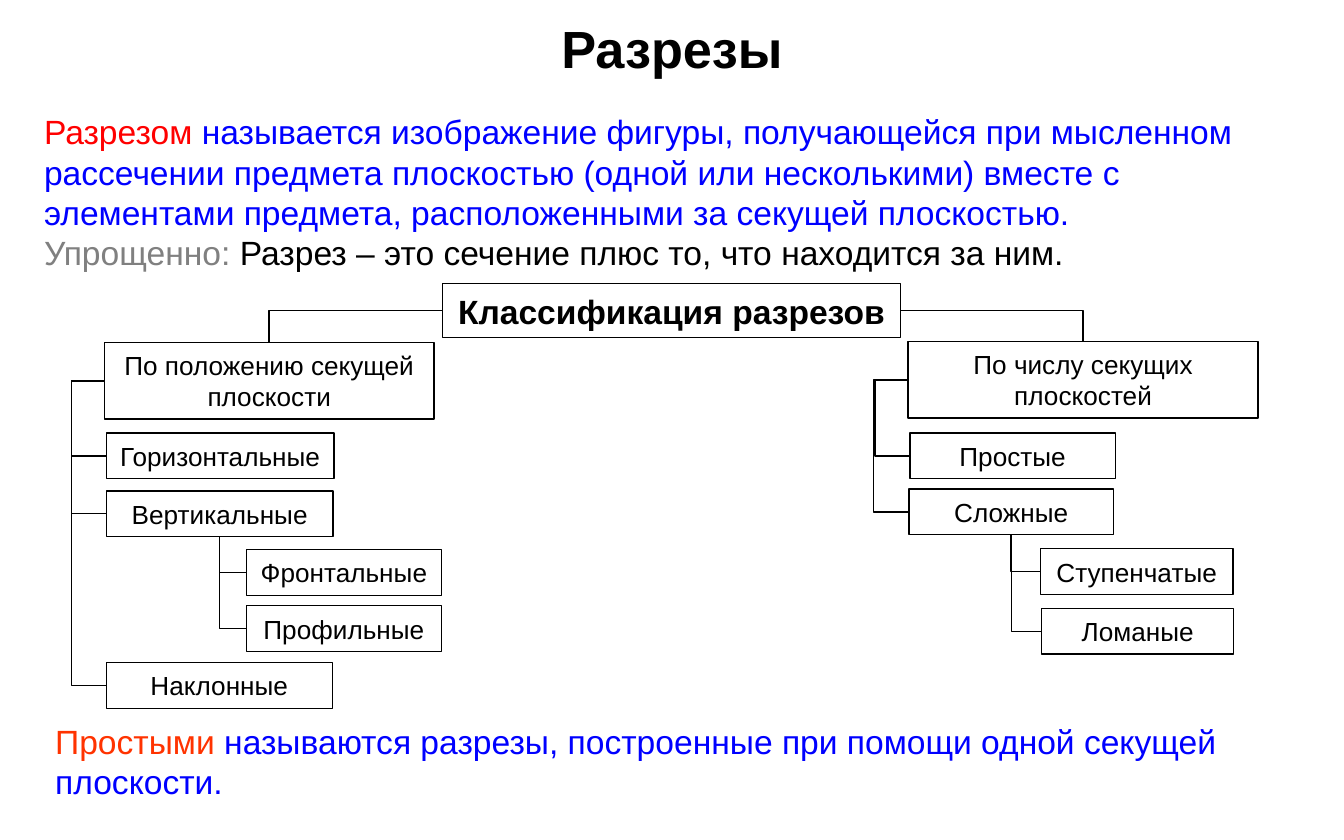
from pptx import Presentation
from pptx.dml.color import RGBColor
from pptx.enum.shapes import MSO_CONNECTOR, MSO_SHAPE
from pptx.enum.text import MSO_ANCHOR, PP_ALIGN
from pptx.oxml.ns import qn
from pptx.util import Pt
from lxml import etree

ELBOW = MSO_CONNECTOR.ELBOW
RECTANGLE = MSO_SHAPE.RECTANGLE
MIDDLE = MSO_ANCHOR.MIDDLE
CENTER = PP_ALIGN.CENTER

FONT = "Arial"
COLORS = {"black": "000000", "blue": "0000FF", "red": "FF0000",
          "orange": "FF3300", "gray": "808080"}
LINE_WIDTH = 0.75
ITEM_HEIGHT = 24.5
SPINE_GAP = 18

DEFINITION = [
    [("Разрезом", "red"),
     (" называется изображение фигуры, получающейся при мысленном рассечении "
      "предмета плоскостью (одной или несколькими) вместе с элементами предмета, "
      "расположенными за секущей плоскостью.", "blue")],
    [("Упрощенно: ", "gray"),
     ("Разрез – это сечение плюс то, что находится за ним.", "black")],
]
SIMPLE_SECTIONS = [
    [("Простыми", "orange"),
     (" называются разрезы, построенные при помощи одной секущей плоскости.", "blue")],
]

# Items: text, offset from the group's left and top, width, subitems.
BY_POSITION = [
    ("Горизонтальные", 1, 48.5, 122, []),
    ("Вертикальные", 1, 79.5, 121.5, [
        ("Фронтальные", 76, 111, 104.5),
        ("Профильные", 76, 141, 104.5),
    ]),
    ("Наклонные", 1, 171.5, 121, []),
]
BY_NUMBER = [
    ("Простые", 1, 49, 110, []),
    ("Сложные", 0.5, 79, 109.5, [
        ("Ступенчатые", 71, 111, 103),
        ("Ломаные", 71.5, 143, 103),
    ]),
]


def color(name):
    return RGBColor.from_string(COLORS[name])


def format_font(font, size, bold=False):
    font.name, font.size, font.bold = FONT, Pt(size), bold


def add_title(slide, text, left, top, width, height):
    title = slide.shapes.title
    title.left, title.top, title.width, title.height = map(Pt, (left, top, width, height))
    title.text_frame.vertical_anchor = MIDDLE
    paragraph = title.text_frame.paragraphs[0]
    paragraph.text, paragraph.alignment = text, CENTER
    format_font(paragraph.font, 28, True)
    paragraph.font.color.rgb = color("black")


def add_colored_text(slide, paragraphs, left, top, width, height):
    frame = slide.shapes.add_textbox(*map(Pt, (left, top, width, height))).text_frame
    frame.word_wrap = True
    for index, parts in enumerate(paragraphs):
        paragraph = frame.add_paragraph() if index else frame.paragraphs[0]
        format_font(paragraph.font, 18)
        for text, color_name in parts:
            run = paragraph.add_run()
            run.text = text
            run.font.color.rgb = color(color_name)


def add_box(slide, text, left, top, width, height, size=14, bold=False, wrap=False):
    shape = slide.shapes.add_shape(RECTANGLE, *map(Pt, (left, top, width, height)))
    shape.shadow.inherit = False
    shape.fill.background()
    shape.line.color.rgb = color("black")
    shape.line.width = Pt(LINE_WIDTH)
    frame = shape.text_frame
    frame.word_wrap, frame.vertical_anchor = wrap, MIDDLE
    paragraph = frame.paragraphs[0]
    paragraph.text, paragraph.alignment = text, CENTER
    format_font(paragraph.font, size, bold)
    paragraph.font.color.rgb = color("black")


def add_elbow(slide, start, end, spine=None):
    """Run across then down or up; with a spine, turn at that x and come back."""
    connector = slide.shapes.add_connector(ELBOW, *map(Pt, start + end))
    connector.line.color.rgb = color("black")
    connector.line.width = Pt(LINE_WIDTH)
    properties = connector._element.spPr
    etree.SubElement(properties, qn("a:effectLst"))
    geometry = properties.find(qn("a:prstGeom"))
    if spine is None:
        geometry.set("prst", "bentConnector2")
        return
    adjustments = geometry.find(qn("a:avLst"))
    if adjustments is None:
        adjustments = etree.SubElement(geometry, qn("a:avLst"))
    turn = round((spine - start[0]) / (end[0] - start[0]) * 100000)
    etree.SubElement(adjustments, qn("a:gd"), name="adj1", fmla=f"val {turn}")


def add_group(slide, heading, items, left, top, width, height):
    """Draw a heading box with its items below, each joined to its parent."""
    add_box(slide, heading, left, top, width, height, wrap=True)
    half = ITEM_HEIGHT / 2
    for text, item_x, item_y, item_width, subitems in items:
        x, y = left + item_x, top + item_y
        add_elbow(slide, (left, top + height / 2), (x, y + half), left - SPINE_GAP)
        add_box(slide, text, x, y, item_width, ITEM_HEIGHT)
        for subtext, sub_x, sub_y, sub_width in subitems:
            child_x, child_y = left + sub_x, top + sub_y
            add_elbow(slide, (child_x, child_y + half),
                      (x + item_width / 2, y + ITEM_HEIGHT))
            add_box(slide, subtext, child_x, child_y, sub_width, ITEM_HEIGHT)


def add_classification(slide, left, top, width, height):
    """Draw the root box and the two groups that hang from its sides."""
    root_left, root_width, root_height = left + 199, 245.5, 29
    middle = top + root_height / 2
    groups = [
        ("По положению секущей плоскости", BY_POSITION, left + 18, top + 31.5,
         176.5, root_left),
        ("По числу секущих плоскостей", BY_NUMBER, left + width - 187.5, top + 31,
         187.5, root_left + root_width),
    ]
    for heading, items, group_left, group_top, group_width, root_side in groups:
        add_elbow(slide, (root_side, middle), (group_left + group_width / 2, group_top))
        add_group(slide, heading, items, group_left, group_top, group_width, height)
    add_box(slide, "Классификация разрезов", root_left, top, root_width, root_height,
            size=18, bold=True)


def main():
    presentation = Presentation()
    presentation.slide_width, presentation.slide_height = Pt(720), Pt(450)
    slide = presentation.slides.add_slide(presentation.slide_layouts[5])
    add_title(slide, "Разрезы", 0, 0, 720, 50.5)
    add_colored_text(slide, DEFINITION, 16.5, 56, 680.5, 94.5)
    add_classification(slide, 38, 152, 636, 41)
    add_colored_text(slide, SIMPLE_SECTIONS, 22.5, 382.5, 675.5, 51)
    presentation.save("out.pptx")


if __name__ == "__main__":
    main()
